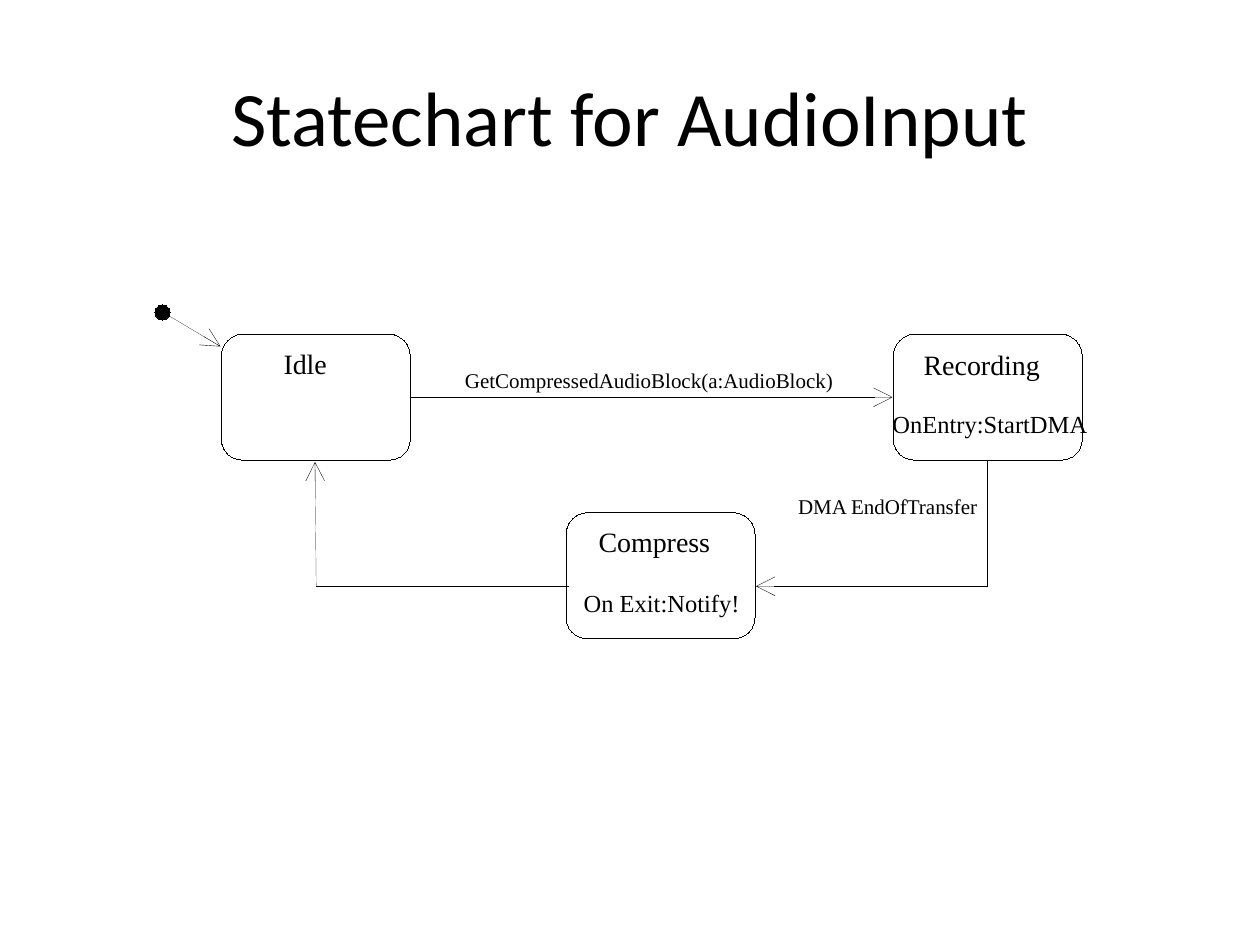
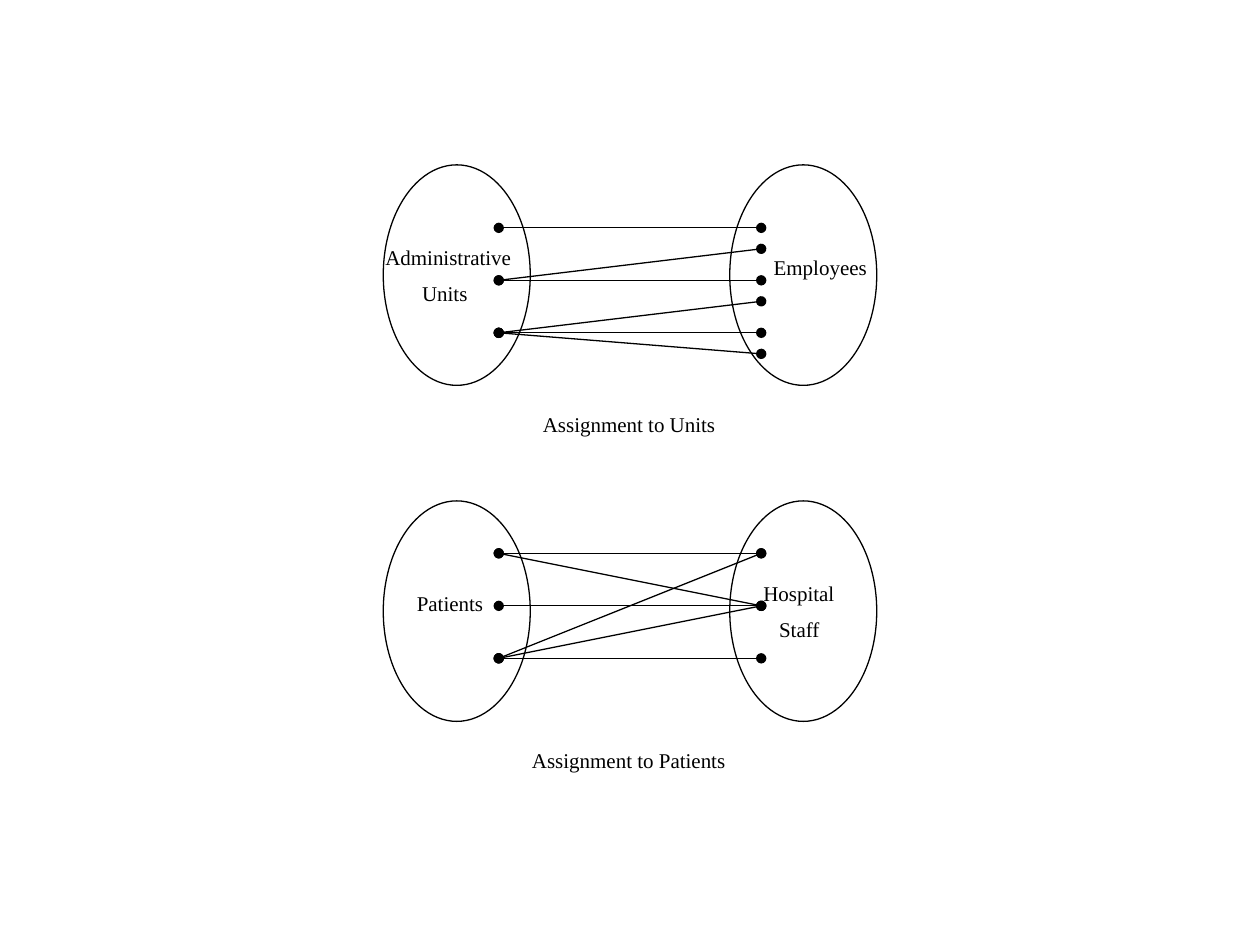
import pptx
import pptx.dml.color
import pptx.enum.shapes
import pptx.enum.text
import pptx.oxml.ns
import pptx.util
from lxml import etree

Pt = pptx.util.Pt
Shape = pptx.enum.shapes.MSO_SHAPE
COLOURS = {"ink": "000000", "paper": "FFFFFF"}
FONTS = {"title": "Calibri", "label": "Times New Roman"}
HAIRLINE = 0.01
THIN = 0.75
TITLE_ONLY, BLANK = 5, 6


class Diagram:
    """Draws styled elements on the current slide."""

    def __init__(self):
        self.deck = pptx.Presentation()
        self.deck.slide_width, self.deck.slide_height = Pt(720), Pt(540)
        self.page = None

    def colour(self, name):
        return pptx.dml.color.RGBColor.from_string(COLOURS[name])

    def new_page(self, layout):
        self.page = self.deck.slides.add_slide(self.deck.slide_layouts[layout])
        fill = self.page.background.fill
        fill.solid()
        fill.fore_color.rgb = self.colour("paper")

    def set_font(self, paragraph, size, name):
        paragraph.font.size = Pt(size)
        paragraph.font.name = FONTS[name]
        paragraph.font.color.rgb = self.colour("ink")

    def title(self, text):
        box = self.page.shapes.title
        box.left, box.top, box.width, box.height = Pt(78), Pt(36), Pt(564), Pt(60.5)
        frame = box.text_frame
        frame.text = text
        frame.auto_size = pptx.enum.text.MSO_AUTO_SIZE.NONE
        frame.vertical_anchor = pptx.enum.text.MSO_ANCHOR.TOP
        frame.paragraphs[0].alignment = pptx.enum.text.PP_ALIGN.CENTER
        self.set_font(frame.paragraphs[0], 44, "title")

    def label(self, left, top, width, text, size=12, indent=0):
        lines = text.split("\n")
        box = self.page.shapes.add_textbox(
            Pt(left), Pt(top), Pt(width), Pt(size * 1.2 * len(lines)))
        frame = box.text_frame
        frame.word_wrap = True
        frame.margin_left = frame.margin_right = 0
        frame.margin_top = frame.margin_bottom = 0
        frame.text = text
        for index, paragraph in enumerate(frame.paragraphs):
            if index:
                paragraph.space_before = Pt(6.5)
                paragraph._p.get_or_add_pPr().set("marL", str(Pt(indent)))
            self.set_font(paragraph, size, "label")

    def shape(self, kind, left, top, width, height, fill=None, weight=HAIRLINE):
        shape = self.page.shapes.add_shape(
            kind, Pt(left), Pt(top), Pt(width), Pt(height))
        shape.shadow.inherit = False
        if fill:
            shape.fill.solid()
            shape.fill.fore_color.rgb = self.colour(fill)
        else:
            shape.fill.background()
        shape.line.color.rgb = self.colour("ink")
        shape.line.width = Pt(weight)
        return shape

    def state(self, left, top):
        box = self.shape(Shape.ROUNDED_RECTANGLE, left, top, 108, 72)
        box.adjustments[0] = 0.17

    def line(self, start, end, weight=HAIRLINE):
        line = self.page.shapes.add_connector(
            pptx.enum.shapes.MSO_CONNECTOR.STRAIGHT, *map(Pt, start + end))
        line.line.color.rgb = self.colour("ink")
        line.line.width = Pt(weight)
        etree.SubElement(line._element.spPr, pptx.oxml.ns.qn("a:effectLst"))
        return line

    def line_end(self, line, side, kind, size):
        end = etree.SubElement(line.line._get_or_add_ln(), pptx.oxml.ns.qn("a:" + side))
        for name, value in (("type", kind), ("w", size), ("len", size)):
            end.set(name, value)

    def arrow(self, start, end):
        self.line_end(self.line(start, end), "tailEnd", "arrow", "lg")

    def link(self, start, end):
        line = self.line(start, end, THIN)
        for side in ("headEnd", "tailEnd"):
            self.line_end(line, side, "oval", "med")

    def mapping(self, top, links):
        for left in (219, 417):
            self.shape(Shape.OVAL, left, top, 84, 126, "paper", THIN)
        for left_offset, right_offset in links:
            self.link((285, top + left_offset), (435, top + right_offset))


def draw_statechart(diagram):
    diagram.new_page(TITLE_ONLY)
    diagram.title("Statechart for AudioInput")
    for left, top in ((126.5, 191), (510.5, 191), (323.5, 293)):
        diagram.state(left, top)
    for left, top, width, text, size in (
        (162, 198, 40, "Idle", 16),
        (342, 300, 74, "Compress", 16),
        (333.5, 336.2, 104, "On Exit:Notify!", 14),
        (527.8, 198.7, 74, "Recording", 16),
        (510, 233.8, 128, "OnEntry:StartDMA", 14),
        (265.7, 210, 220, "GetCompressedAudioBlock(a:AudioBlock)", 12),
        (456, 282, 106, "DMA EndOfTransfer", 12),
    ):
        diagram.label(left, top, width, text, size)
    diagram.shape(Shape.OVAL, 88.5, 174.2, 8.7, 8.7, "ink")
    diagram.line((180.7, 335), (324.7, 335))
    diagram.line((564.5, 263), (564.5, 335))
    for start, end in (
        ((95.8, 180), (126, 198)),
        ((180.7, 335), (180, 264)),
        ((564.5, 335), (432, 335)),
        ((234.7, 227), (510, 227)),
    ):
        diagram.arrow(start, end)


def draw_assignments(diagram):
    units_top, patients_top = 94.2, 286.2
    diagram.new_page(BLANK)
    diagram.mapping(units_top, (
        (36, 36), (66, 66), (96, 96), (66, 48), (96, 78), (96, 108)))
    diagram.mapping(patients_top, (
        (30, 30), (60, 60), (90, 90), (30, 60), (90, 30), (90, 60)))
    for left, top, width, text, indent in (
        (220.2, units_top + 45.4, 88, "Administrative\nUnits", 21),
        (442.1, units_top + 51.5, 60, "Employees", 0),
        (310.2, units_top + 141.2, 148, "Assignment to Units", 0),
        (238.2, patients_top + 51.4, 42, "Patients", 0),
        (436.2, patients_top + 45.4, 64, "Hospital\nStaff", 9),
        (304, patients_top + 141.2, 118, "Assignment to Patients", 0),
    ):
        diagram.label(left, top, width, text, indent=indent)


def main():
    diagram = Diagram()
    draw_statechart(diagram)
    draw_assignments(diagram)
    diagram.deck.save("out.pptx")


if __name__ == "__main__":
    main()
